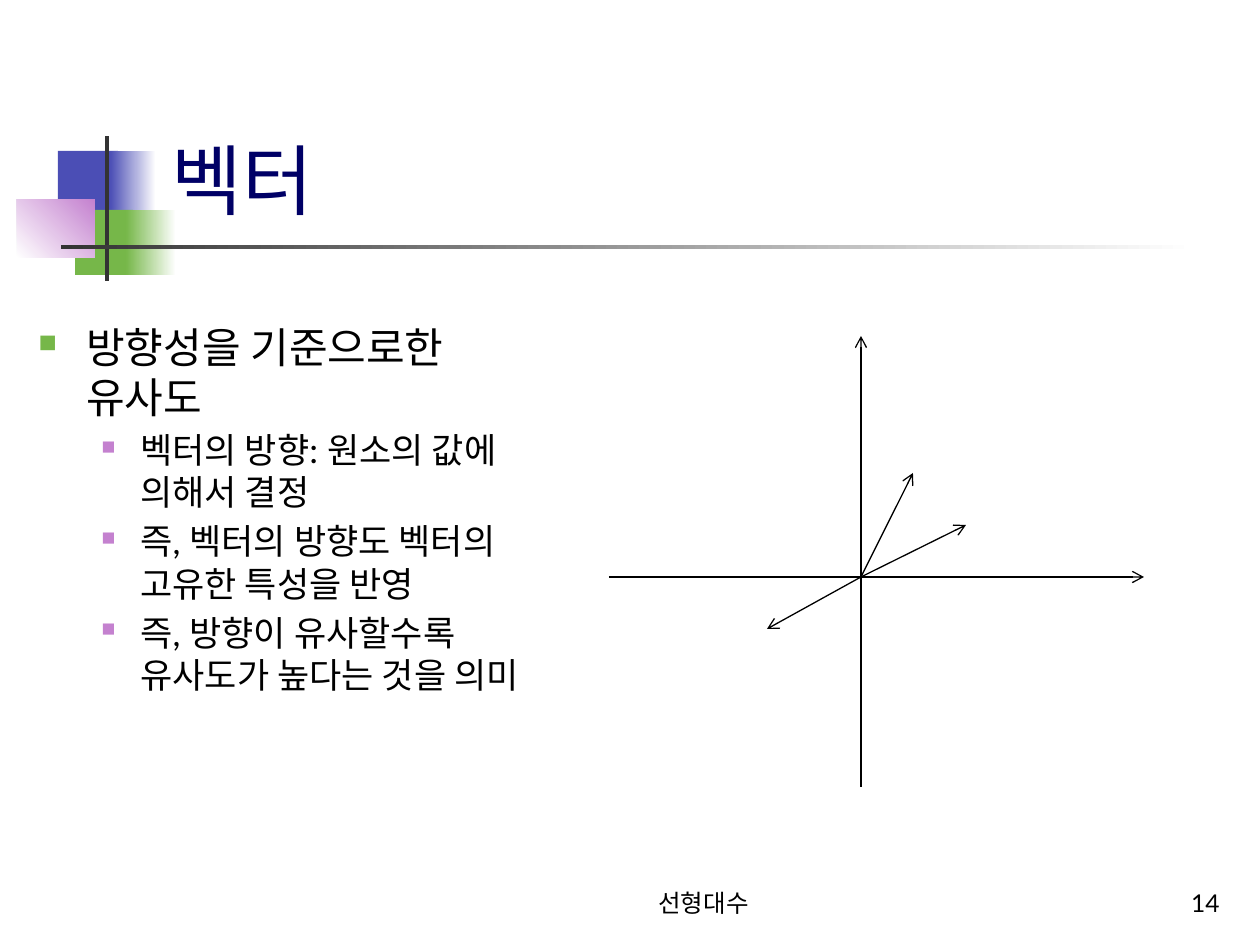
from lxml.etree import SubElement
from pptx import Presentation
from pptx.dml.color import RGBColor
from pptx.enum.shapes import MSO_CONNECTOR, MSO_SHAPE
from pptx.enum.text import MSO_ANCHOR, MSO_AUTO_SIZE, PP_ALIGN
from pptx.oxml.ns import qn
from pptx.util import Emu, Pt

FONT = "Lato"
BLACK, WHITE, NAVY, CHARCOAL = "000000", "FFFFFF", "000066", "333333"
BLUE, GREEN, PINK = "4B4EB5", "76B749", "C481CF"

# Left, top, width, height, fill (one colour or a fade), fade angle
DECORATION = [
    (58, 151, 60, 66, [BLUE], 0),
    (110, 151, 46, 66, [BLUE, WHITE], 0),
    (75, 210, 58, 65, [GREEN], 0),
    (126, 210, 50, 65, [GREEN, WHITE], 0),
    (17, 199, 78, 59, [WHITE, PINK], 45),
    (105, 136, 4, 145, [CHARCOAL], 0),
    (61, 245, 1134, 4, [CHARCOAL, WHITE], 0),
]

POINTS = [
    (0, "방향성을 기준으로한 유사도"),
    (1, "벡터의 방향: 원소의 값에 의해서 결정"),
    (1, "즉, 벡터의 방향도 벡터의 고유한 특성을 반영"),
    (1, "즉, 방향이 유사할수록 유사도가 높다는 것을 의미"),
]

# Text size, left indent, hanging indent, bullet colour, bullet percent
LEVELS = [(24, 48, 48, GREEN, 60), (20, 102, 39, PINK, 55)]

ORIGIN = (861, 577)
AXES = [((609, 577), (1144, 577)), ((861, 787), (861, 336))]
VECTOR_TIPS = [(913, 473), (966, 525), (767, 629)]


def px(length):
    return Emu(round(length * 914400 / 126))


def colour(code):
    return RGBColor.from_string(code)


def add_block(slide, left, top, width, height, fills, angle):
    block = slide.shapes.add_shape(
        MSO_SHAPE.RECTANGLE, px(left), px(top), px(width), px(height))
    block.shadow.inherit = False
    block.line.fill.background()
    if len(fills) == 1:
        block.fill.solid()
        block.fill.fore_color.rgb = colour(fills[0])
        return
    block.fill.gradient()
    block.fill.gradient_angle = angle
    for stop, code in zip(block.fill.gradient_stops, fills):
        stop.color.rgb = colour(code)


def add_run(paragraph, text, size, code=BLACK):
    run = paragraph.add_run()
    run.text = text
    run.font.size = Pt(size)
    run.font.name = FONT
    run.font.color.rgb = colour(code)


def set_title(slide, text):
    title = slide.shapes.title
    title.left, title.top, title.width, title.height = map(px, (159, 29, 1073, 202))
    frame = title.text_frame
    frame.auto_size = MSO_AUTO_SIZE.NONE
    frame.vertical_anchor = MSO_ANCHOR.BOTTOM
    frame.paragraphs[0].alignment = PP_ALIGN.LEFT
    add_run(frame.paragraphs[0], text, 44, NAVY)


def add_text_frame(slide, left, top, width, height, anchor):
    box = slide.shapes.add_textbox(px(left), px(top), px(width), px(height))
    frame = box.text_frame
    frame.word_wrap = True
    frame.vertical_anchor = anchor
    return frame


def add_bullet(paragraph, indent, hanging, code, percent):
    properties = paragraph._p.get_or_add_pPr()
    properties.set("marL", str(px(indent)))
    properties.set("indent", str(-px(hanging)))
    bullet_colour = SubElement(properties, qn("a:buClr"))
    SubElement(bullet_colour, qn("a:srgbClr"), val=code)
    SubElement(properties, qn("a:buSzPct"), val=str(percent * 1000))
    SubElement(properties, qn("a:buChar"), char="■")


def add_points(slide):
    frame = add_text_frame(slide, 26, 315, 530, 567, MSO_ANCHOR.TOP)
    for index, (level, text) in enumerate(POINTS):
        paragraph = frame.add_paragraph() if index else frame.paragraphs[0]
        size, *bullet = LEVELS[level]
        paragraph.level = level
        add_bullet(paragraph, *bullet)
        if index:
            paragraph.space_before = Pt(size * 0.2)
        add_run(paragraph, text, size)


def add_footer(slide, left, width, text, alignment):
    frame = add_text_frame(slide, left, 861, width, 63, MSO_ANCHOR.BOTTOM)
    frame.paragraphs[0].alignment = alignment
    add_run(frame.paragraphs[0], text, 14)


def add_arrow(slide, start, end):
    arrow = slide.shapes.add_connector(
        MSO_CONNECTOR.STRAIGHT, *map(px, start + end))
    arrow.line.color.rgb = colour(BLACK)
    arrow.line.width = Pt(0.75)
    SubElement(arrow.line._get_or_add_ln(), qn("a:tailEnd"), type="arrow")
    SubElement(arrow._element.spPr, qn("a:effectLst"))


def main():
    presentation = Presentation()
    presentation.slide_width, presentation.slide_height = px(1260), px(945)
    slide = presentation.slides.add_slide(presentation.slide_layouts[5])

    # Corner decoration and title
    for block in DECORATION:
        add_block(slide, *block)
    set_title(slide, "벡터")

    # Explanation
    add_points(slide)

    # Axes and vectors from the origin
    for start, end in AXES:
        add_arrow(slide, start, end)
    for tip in VECTOR_TIPS:
        add_arrow(slide, ORIGIN, tip)

    # Footer
    add_footer(slide, 504, 399, "선형대수", PP_ALIGN.CENTER)
    add_footer(slide, 970, 262, "14", PP_ALIGN.RIGHT)

    presentation.save("out.pptx")


if __name__ == "__main__":
    main()
